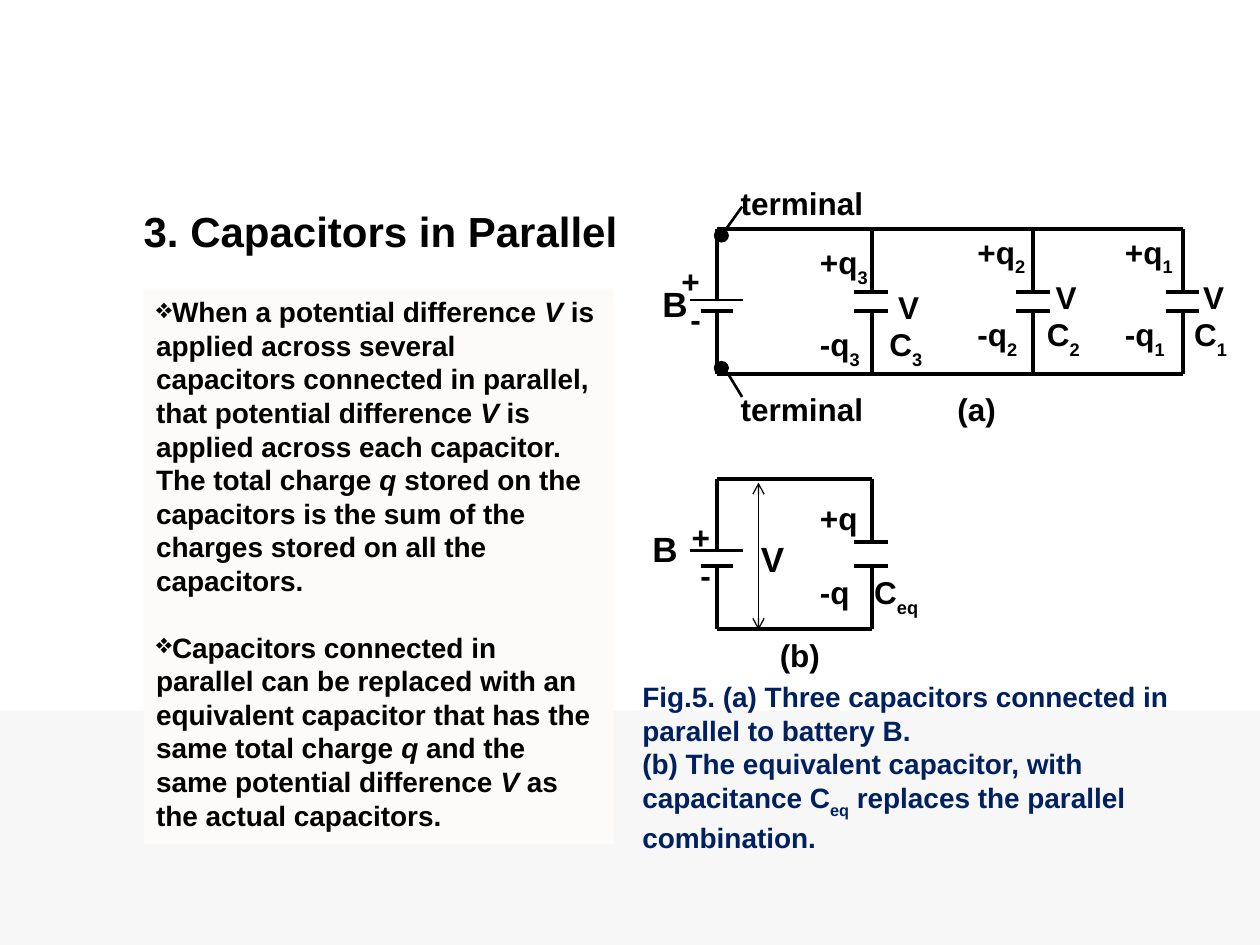
from lxml.etree import SubElement
from pptx import Presentation
from pptx.dml.color import RGBColor
from pptx.enum.shapes import MSO_CONNECTOR, MSO_SHAPE
from pptx.enum.text import MSO_ANCHOR, PP_ALIGN
from pptx.oxml.ns import qn
from pptx.util import Inches, Pt

BLACK = RGBColor(0x00, 0x00, 0x00)
NAVY = RGBColor(0x00, 0x20, 0x60)
BAND = RGBColor(0xF7, 0xF7, 0xF7)
PANEL = RGBColor(0xFC, 0xFB, 0xF9)


def write(para, pieces, size, color=BLACK, italic=False):
    """Fill a paragraph; every second piece is a subscript, or italic."""
    para.alignment = PP_ALIGN.LEFT
    para.font.name = "Arial"
    para.font.size = Pt(size)
    para.font.bold = True
    para.font.color.rgb = color
    for index, piece in enumerate(pieces):
        span = para.add_run()
        span.text = piece
        if index % 2 and italic:
            span.font.italic = True
        elif index % 2:
            span._r.get_or_add_rPr().set("baseline", "-30000")


def add_label(left, top, width, height, lines, size=18, color=BLACK, wrap=True):
    """Add a text box; each line is a tab position (or None) and its pieces."""
    box = page.shapes.add_textbox(Inches(left), Inches(top), Inches(width), Inches(height))
    frame = box.text_frame
    frame.word_wrap = wrap
    for index, (tab, pieces) in enumerate(lines):
        para = frame.add_paragraph() if index else frame.paragraphs[0]
        if tab:
            tabs = SubElement(para._p.get_or_add_pPr(), qn("a:tabLst"))
            SubElement(tabs, qn("a:tab"), pos=str(Inches(tab)), algn="l")
        write(para, pieces, size, color)
    return frame


deck = Presentation()
deck.slide_width = Inches(10)
deck.slide_height = Inches(7.5)
page = deck.slides.add_slide(deck.slide_layouts[5])

# Title
title = page.shapes.title
title.left, title.top = Inches(1.04), Inches(1.58)
title.width, title.height = Inches(4.09), Inches(0.51)
title.text_frame.word_wrap = False
title.text_frame.vertical_anchor = MSO_ANCHOR.TOP
write(title.text_frame.paragraphs[0], ["3. Capacitors in Parallel"], 24)

# Bottom band, text panel and terminal dots
filled = []
for kind, left, top, width, height, color in [
    (MSO_SHAPE.RECTANGLE, 0, 5.64, 10, 1.86, BAND),
    (MSO_SHAPE.RECTANGLE, 1.14, 2.29, 3.73, 4.41, PANEL),
    (MSO_SHAPE.OVAL, 5.67, 1.82, 0.11, 0.1, BLACK),
    (MSO_SHAPE.OVAL, 5.67, 2.87, 0.11, 0.1, BLACK),
]:
    shape = page.shapes.add_shape(kind, Inches(left), Inches(top), Inches(width), Inches(height))
    shape.shadow.inherit = False
    shape.fill.solid()
    shape.fill.fore_color.rgb = color
    if kind == MSO_SHAPE.OVAL:
        shape.line.color.rgb = BLACK
        shape.line.width = Pt(0.75)
    else:
        shape.line.fill.background()
    filled.append(shape)

# Bulleted explanation
frame = filled[1].text_frame
frame.word_wrap = True
frame.vertical_anchor = MSO_ANCHOR.TOP
points = [
    ["When a potential difference ", "V ",
     "is applied across several capacitors connected in parallel, that potential difference ", "V ",
     "is applied across each capacitor. The total charge ", "q ",
     "stored on the capacitors is the sum of the charges stored on all the capacitors."],
    ["Capacitors connected in parallel can be replaced with an equivalent capacitor "
     "that has the same total charge ", "q ",
     "and the same potential difference", " V ", "as the actual capacitors."],
]
for index, pieces in enumerate(points):
    para = frame.add_paragraph() if index else frame.paragraphs[0]
    if index:
        para.space_before = Pt(19)
    SubElement(para._p.get_or_add_pPr(), qn("a:buChar"), char="❖")
    write(para, pieces, 16, italic=True)

# Wires: x1, y1, x2, y2, width in points
battery_x = 5.69
wires = [
    (5.69, 1.92, 5.89, 1.64, 1.5),
    (5.78, 2.97, 5.89, 3.15, 1.5),
    (6.02, 3.83, 6.02, 5, 0.75),
]
circuits = [
    (1.82, 2.32, 2.38, 2.47, 2.97, [6.92, 8.2, 9.39]),
    (3.8, 4.3, 4.37, 4.49, 4.99, [6.92]),
]
for top, plate_top, battery_top, plate_bottom, bottom, branches in circuits:
    for y in (top, bottom):
        wires.append((battery_x, y, branches[-1], y, 2.25))
    wires.append((battery_x - 0.21, battery_top, battery_x + 0.21, battery_top, 1.5))
    wires.append((battery_x - 0.13, plate_bottom, battery_x + 0.13, plate_bottom, 2.25))
    wires.append((battery_x, top, battery_x, battery_top, 2.25))
    wires.append((battery_x, plate_bottom, battery_x, bottom, 2.25))
    for x in branches:
        wires.append((x, top, x, plate_top, 2.25))
        wires.append((x, plate_bottom, x, bottom, 2.25))
        for y in (plate_top, plate_bottom):
            wires.append((x - 0.14, y, x + 0.13, y, 2.25))

for x1, y1, x2, y2, width in wires:
    wire = page.shapes.add_connector(
        MSO_CONNECTOR.STRAIGHT, Inches(x1), Inches(y1), Inches(x2), Inches(y2))
    wire.line.color.rgb = BLACK
    wire.line.width = Pt(width)
    if width == 0.75:  # the voltage arrow
        for end in ("a:headEnd", "a:tailEnd"):
            SubElement(wire.line._get_or_add_ln(), qn(end), type="arrow")
    SubElement(wire._element.spPr, qn("a:effectLst"))

# Capacitor labels
for number, left, top in [("1", 8.83, 1.8), ("2", 7.66, 1.8), ("3", 6.41, 1.88)]:
    add_label(left, top, 1.17, 1.21, [
        (None, ["+q", number]),
        (0.62, ["\tV"]),
        (0.55, ["-q", number, "\tC", number]),
    ])
equivalent = add_label(6.41, 3.91, 1.17, 1.21, [
    (None, ["+q"]),
    (0.43, ["-q\tC", "eq"]),
])
equivalent.paragraphs[1].space_before = Pt(21)

# Battery signs and letters
for left, top in [(5.31, 2.03), (5.39, 4.06)]:
    add_label(left, top, 0.39, 0.71, [(None, ["+"]), (0.07, ["\t-"])])
for text, left, top in [("B", 5.16, 2.19), ("B", 5.08, 4.14), ("V", 5.94, 4.22)]:
    add_label(left, top, 0.4, 0.44, [(None, [text])], size=20, wrap=False)

for text, left, top, width in [
    ("terminal", 5.78, 1.41, 1.18),
    ("terminal", 5.78, 3.05, 1.18),
    ("(a)", 7.5, 3.05, 0.51),
    ("(b)", 6.09, 5, 0.52),
]:
    add_label(left, top, width, 0.4, [(None, [text])], wrap=False)

caption = add_label(5, 5.36, 4.83, 1.45, [
    (None, ["Fig.5. (a) Three capacitors connected in parallel to battery B."]),
    (None, ["(b) The equivalent capacitor, with capacitance C", "eq",
            " replaces the parallel combination."]),
], size=16, color=NAVY)
caption.vertical_anchor = MSO_ANCHOR.MIDDLE

deck.save("out.pptx")
